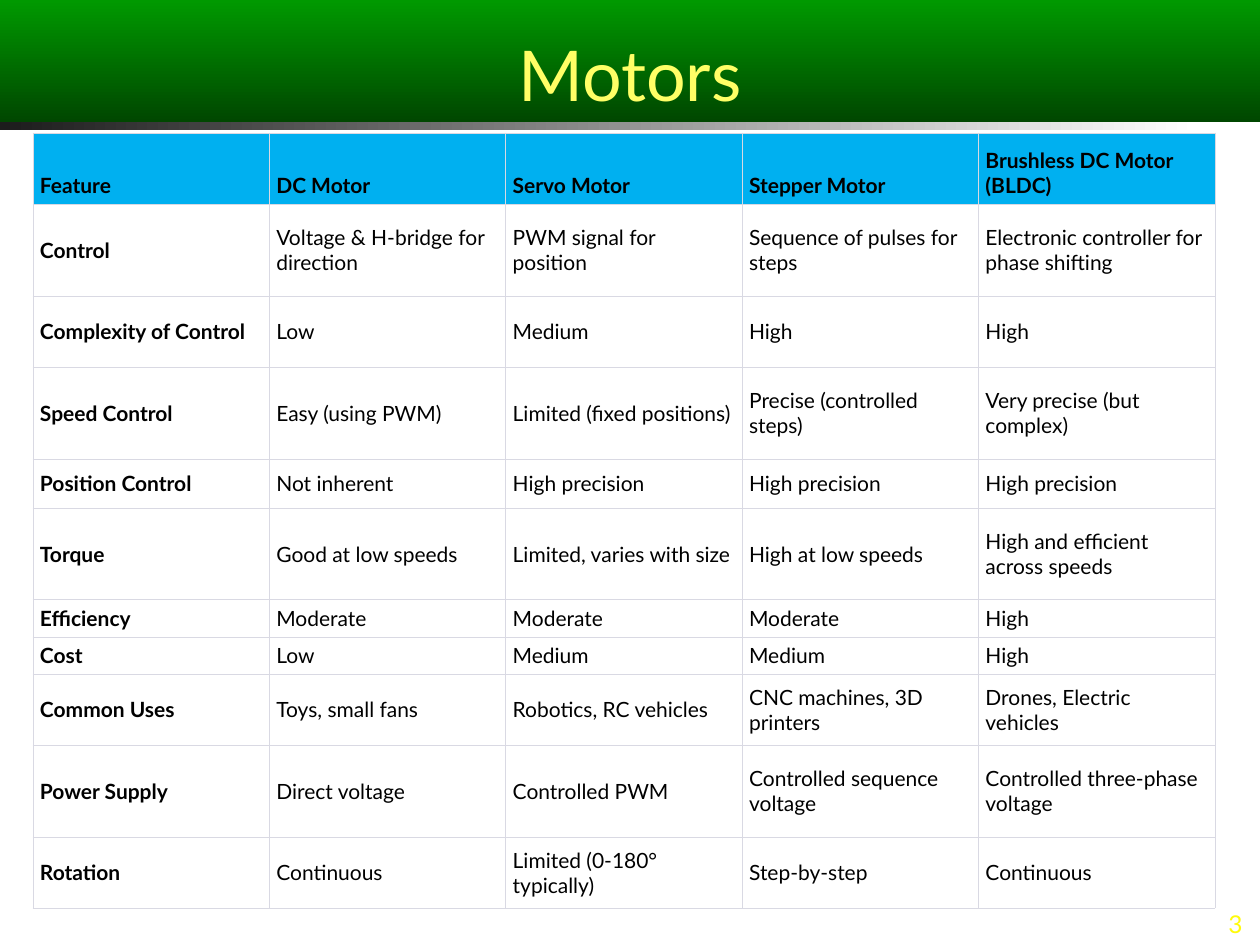
import pptx
import pptx.util
import pptx.oxml
import pptx.dml.color
import pptx.enum.text
import pptx.enum.shapes

SCALE = 914400 / 126
ALIGN = pptx.enum.text.PP_ALIGN
ANCHOR = pptx.enum.text.MSO_ANCHOR
NS = "http://schemas.openxmlformats.org/drawingml/2006/main"

MOTORS = [
    ["Feature", "DC Motor", "Servo Motor", "Stepper Motor", "Brushless DC Motor (BLDC)"],
    ["Control", "Voltage & H-bridge for direction", "PWM signal for position",
     "Sequence of pulses for steps", "Electronic controller for phase shifting"],
    ["Complexity of Control", "Low", "Medium", "High", "High"],
    ["Speed Control", "Easy (using PWM)", "Limited (fixed positions)",
     "Precise (controlled steps)", "Very precise (but complex)"],
    ["Position Control", "Not inherent", "High precision", "High precision", "High precision"],
    ["Torque", "Good at low speeds", "Limited, varies with size",
     "High at low speeds", "High and efficient across speeds"],
    ["Efficiency", "Moderate", "Moderate", "Moderate", "High"],
    ["Cost", "Low", "Medium", "Medium", "High"],
    ["Common Uses", "Toys, small fans", "Robotics, RC vehicles",
     "CNC machines, 3D printers", "Drones, Electric vehicles"],
    ["Power Supply", "Direct voltage", "Controlled PWM",
     "Controlled sequence voltage", "Controlled three-phase voltage"],
    ["Rotation", "Continuous", "Limited (0-180° typically)", "Step-by-step", "Continuous"],
]
HEIGHTS = [71, 92, 71, 92, 49, 92, 33, 33, 71, 92, 71]


def px(num):
    return pptx.util.Emu(round(num * SCALE))


def paint(code):
    return pptx.dml.color.RGBColor.from_string(code)


def write(frame, text, *, size=12, color="000000", bold=False, align=ALIGN.LEFT, font="Lato"):
    frame.word_wrap = True
    par = frame.paragraphs[0]
    par.alignment = align
    run = par.add_run()
    run.text = text
    run.font.size = pptx.util.Pt(size)
    run.font.name = font
    run.font.bold = bold
    run.font.color.rgb = paint(color)


class Deck:
    """Holds the style and the current slide, and draws each kind of element."""

    head = "00B0F0"
    rule = "D9D9E3"

    def __init__(self, wide, high):
        self.show = pptx.Presentation()
        self.show.slide_width, self.show.slide_height = px(wide), px(high)
        self.slide = self.show.slides.add_slide(self.show.slide_layouts[6])

    def band(self, left, top, wide, high, first, last, angle):
        shape = self.slide.shapes.add_shape(
            pptx.enum.shapes.MSO_SHAPE.RECTANGLE, px(left), px(top), px(wide), px(high))
        shape.shadow.inherit = False
        shape.line.fill.background()
        shape.fill.gradient()
        shape.fill.gradient_angle = angle
        for stop, code in zip(shape.fill.gradient_stops, (first, last)):
            stop.color.rgb = paint(code)
        return shape

    def label(self, left, top, wide, high, text, **form):
        box = self.slide.shapes.add_textbox(px(left), px(top), px(wide), px(high))
        box.text_frame.vertical_anchor = ANCHOR.BOTTOM
        write(box.text_frame, text, **form)

    def border(self, cell, widths):
        props = cell._tc.get_or_add_tcPr()
        for side, width in widths.items():
            props.append(pptx.oxml.parse_xml(
                f'<a:ln{side} xmlns:a="{NS}" w="{round(width * 12700)}"><a:solidFill>'
                f'<a:srgbClr val="{self.rule}"/></a:solidFill></a:ln{side}>'))

    def table(self, left, top, wide, rows, heights):
        count = len(rows[0])
        table = self.slide.shapes.add_table(
            len(rows), count, px(left), px(top), px(wide), px(sum(heights))).table
        table.first_row = table.horz_banding = False
        for col in table.columns:
            col.width = px(wide / count)
        end = len(rows) - 1
        for r, (row, high) in enumerate(zip(rows, heights)):
            table.rows[r].height = px(high)
            for c, text in enumerate(row):
                cell = table.cell(r, c)
                cell.margin_left = cell.margin_right = px(7)
                cell.margin_top = cell.margin_bottom = px(6)
                cell.vertical_anchor = ANCHOR.MIDDLE if r else ANCHOR.BOTTOM
                self.border(cell, {"L": 0.34, "R": 0.34, "T": 0.45 if r else 0.34,
                                   "B": 0.45 if r < end else 0.34})
                if r:
                    cell.fill.background()
                else:
                    cell.fill.solid()
                    cell.fill.fore_color.rgb = paint(self.head)
                write(cell.text_frame, text, bold=r == 0 or c == 0)


def main():
    deck = Deck(1260, 945)
    deck.band(0, 122, 1198, 8, "1C1C1C", "FFFFFF", 0)
    title = deck.band(0, 0, 1260, 122, "009900", "004700", 270)
    title.text_frame.vertical_anchor = ANCHOR.BOTTOM
    write(title.text_frame, "Motors", size=40, color="FFFF66", align=ALIGN.CENTER)
    deck.table(33, 133, 1182, MOTORS, HEIGHTS)
    deck.label(987, 910, 268, 35, "3", size=14, color="FFFB0B", align=ALIGN.RIGHT)
    deck.show.save("out.pptx")


if __name__ == "__main__":
    main()
